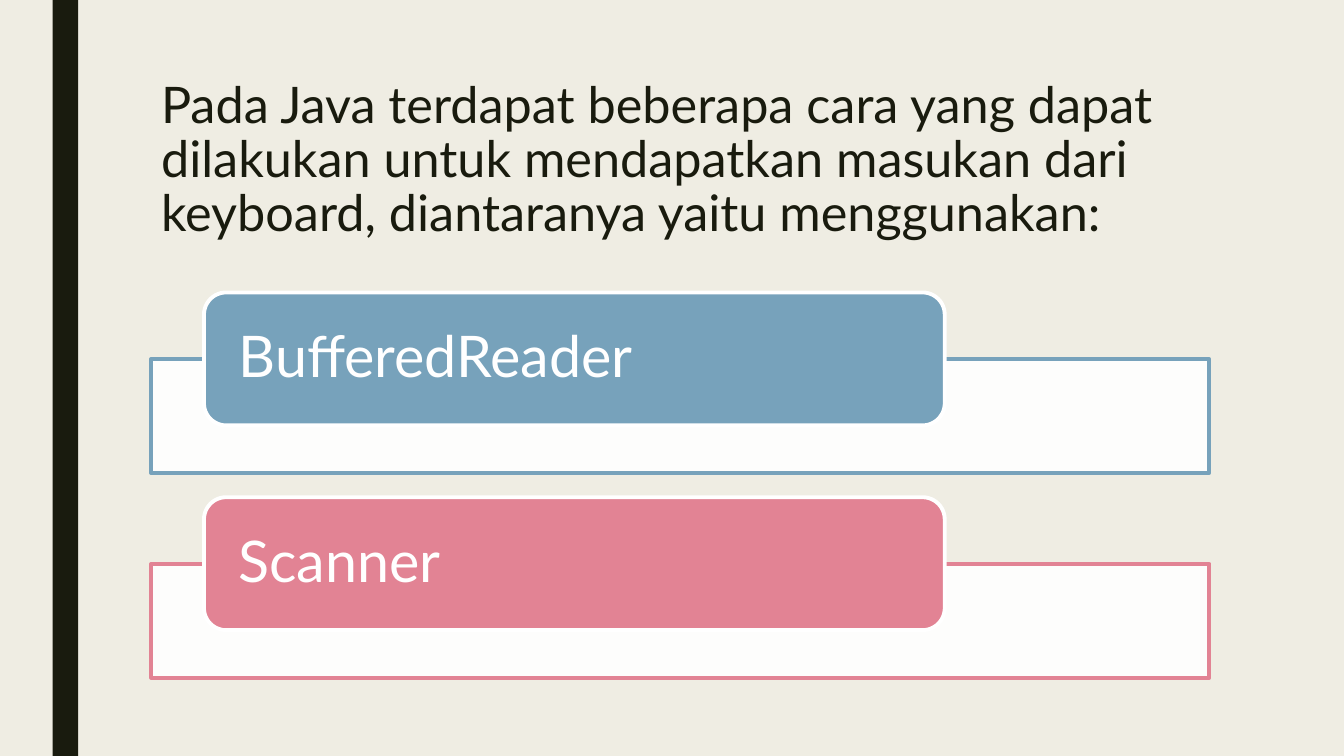
from dataclasses import dataclass

from lxml.etree import SubElement
from pptx import Presentation
from pptx.dml.color import RGBColor
from pptx.enum.shapes import MSO_SHAPE
from pptx.enum.text import MSO_ANCHOR, PP_ALIGN
from pptx.oxml.ns import qn
from pptx.util import Cm, Pt


@dataclass(frozen=True)
class Theme:
    font: str = "Lato"
    paper: str = "EFEDE3"
    ink: str = "191B0E"
    white: str = "FFFFFF"
    blue: str = "77A2BB"
    pink: str = "E28394"
    title: float = 36
    label: float = 41
    line: float = 2.75


THEME = Theme()

# Layout in centimetres
WIDE, HIGH = 33.87, 19.05
LEFT, SPAN = 3.81, 26.67
TOP, STEP = 7.37, 5.16

TITLE = ("Pada Java terdapat beberapa cara yang dapat dilakukan untuk "
         "mendapatkan masukan dari keyboard, diantaranya yaitu menggunakan:")
WAYS = [("BufferedReader", THEME.blue), ("Scanner", THEME.pink)]


def paint(fill, color):
    fill.solid()
    fill.fore_color.rgb = RGBColor.from_string(color)


def add_text(shape, text, *, size, color, space, anchor, pad):
    frame = shape.text_frame
    frame.word_wrap = True
    frame.vertical_anchor = anchor
    frame.margin_left = frame.margin_right = Cm(pad[0])
    frame.margin_top = frame.margin_bottom = Cm(pad[1])
    para = frame.paragraphs[0]
    para.alignment = PP_ALIGN.LEFT
    para.line_spacing = space
    run = para.add_run()
    run.text = text
    run.font.name = THEME.font
    run.font.size = Pt(size)
    run.font.color.rgb = RGBColor.from_string(color)


def add_box(slide, kind, place, fill, line=None, alpha=None):
    box = slide.shapes.add_shape(kind, *map(Cm, place))
    box.shadow.inherit = False
    paint(box.fill, fill)
    if alpha is not None:
        tint = box.fill._xPr.find(".//" + qn("a:srgbClr"))
        SubElement(tint, qn("a:alpha"), val=str(alpha * 1000))
    if line:
        paint(box.line.fill, line)
        box.line.width = Pt(THEME.line)
    else:
        box.line.fill.background()
    return box


def add_way(slide, top, name, color):
    # Pale frame behind, coloured label in front
    add_box(slide, MSO_SHAPE.RECTANGLE, (LEFT, top + 1.68, SPAN, 2.87),
            THEME.white, color, alpha=90)
    label = add_box(slide, MSO_SHAPE.ROUNDED_RECTANGLE,
                    (LEFT + 1.33, top, 0.7 * SPAN, 3.35), color, THEME.white)
    add_text(label, name, size=THEME.label, color=THEME.white, space=0.9,
             anchor=MSO_ANCHOR.MIDDLE, pad=(0.71, 0))


def main():
    deck = Presentation()
    deck.slide_width, deck.slide_height = Cm(WIDE), Cm(HIGH)
    slide = deck.slides.add_slide(deck.slide_layouts[6])

    # Background and side bar
    paint(slide.background.fill, THEME.paper)
    add_box(slide, MSO_SHAPE.RECTANGLE, (1.33, 0, 0.64, HIGH), THEME.ink)

    # Title
    title = slide.shapes.add_textbox(*map(Cm, (LEFT, 1.9, SPAN, 4.11)))
    add_text(title, TITLE, size=THEME.title, color=THEME.ink, space=0.89,
             anchor=MSO_ANCHOR.TOP, pad=(0.25, 0.13))

    # Ways to read input
    for row, (name, color) in enumerate(WAYS):
        add_way(slide, TOP + row * STEP, name, color)

    deck.save("out.pptx")


main()
